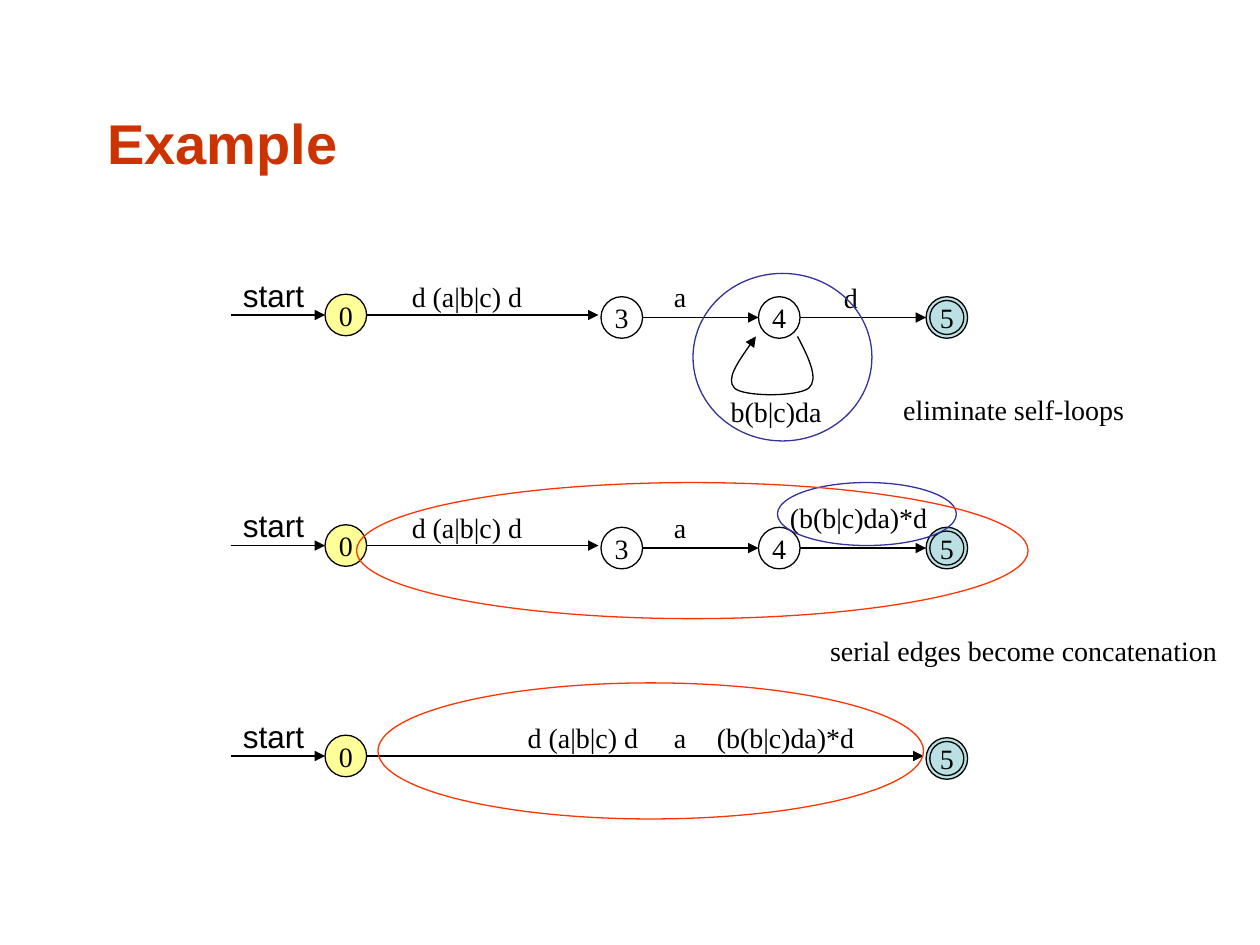
from lxml.etree import SubElement
from pptx import Presentation
from pptx.dml.color import RGBColor
from pptx.enum.shapes import MSO_CONNECTOR, MSO_SHAPE
from pptx.enum.text import MSO_ANCHOR, MSO_AUTO_SIZE, PP_ALIGN
from pptx.oxml.ns import qn
from pptx.util import Inches, Pt

BLACK = RGBColor(0x00, 0x00, 0x00)
TITLE_RED = RGBColor(0xCC, 0x33, 0x00)
START_YELLOW = RGBColor(0xFF, 0xFF, 0x99)
FINAL_TEAL = RGBColor(0xBB, 0xE0, 0xE3)
LOOP_BLUE = RGBColor(0x33, 0x33, 0x99)
SERIAL_RED = RGBColor(0xFF, 0x33, 0x00)

SERIF, SANS = "Times New Roman", "Arial"
NODE_SIZE, INNER_SIZE, LABEL_HEIGHT = 0.33, 0.27, 0.37
LABEL_SLACK = 0.03  # spare width that keeps each label on one line
STATE_DROP = 0.02  # states 3, 4 and 5 sit slightly below the start state
START_LEFT, STATE_3_LEFT, STATE_4_LEFT, FINAL_LEFT = 2.58, 4.77, 6.02, 7.35
LOOP_ROW, SERIAL_ROW, RESULT_ROW = 2.5, 4.33, 6.0


def format_text(paragraph, size, font_name, color, bold=False):
    for run in paragraph.runs:
        run.font.size = Pt(size)
        run.font.name = font_name
        run.font.color.rgb = color
        run.font.bold = bold


def add_title(slide, text):
    title = slide.shapes.title
    title.left, title.top = Inches(0.75), Inches(0.5)
    title.width, title.height = Inches(8.5), Inches(1.25)
    title.text_frame.text = text
    title.text_frame.vertical_anchor = MSO_ANCHOR.MIDDLE
    heading = title.text_frame.paragraphs[0]
    heading.alignment = PP_ALIGN.LEFT
    format_text(heading, 32, SANS, TITLE_RED, bold=True)


def add_label(shapes, text, left, top, width, height=LABEL_HEIGHT,
              size=16, font_name=SERIF):
    label = shapes.add_textbox(Inches(left), Inches(top),
                               Inches(width + LABEL_SLACK), Inches(height))
    frame = label.text_frame
    frame.text = text
    frame.word_wrap = False
    frame.auto_size = MSO_AUTO_SIZE.SHAPE_TO_FIT_TEXT
    format_text(frame.paragraphs[0], size, font_name, BLACK)


def add_ellipse(shapes, left, top, width, height, line_color=BLACK, fill_color=None):
    ellipse = shapes.add_shape(MSO_SHAPE.OVAL, Inches(left), Inches(top),
                               Inches(width), Inches(height))
    ellipse.shadow.inherit = False
    ellipse.line.color.rgb = line_color
    ellipse.line.width = Pt(0.75)
    if fill_color is None:
        ellipse.fill.background()
    else:
        ellipse.fill.solid()
        ellipse.fill.fore_color.rgb = fill_color
    return ellipse


def add_state(shapes, name, left, center_y, fill_color=None):
    state = add_ellipse(shapes, left, center_y - NODE_SIZE / 2,
                        NODE_SIZE, NODE_SIZE, fill_color=fill_color)
    frame = state.text_frame
    frame.text = name
    frame.word_wrap = False
    frame.vertical_anchor = MSO_ANCHOR.MIDDLE
    frame.paragraphs[0].alignment = PP_ALIGN.CENTER
    format_text(frame.paragraphs[0], 16, SERIF, BLACK)


def add_final_state(shapes, row):
    """Draw state 5 with the inner ring of an accepting state."""
    center_y = row + STATE_DROP
    add_state(shapes, "5", FINAL_LEFT, center_y, FINAL_TEAL)
    inset = (NODE_SIZE - INNER_SIZE) / 2
    add_ellipse(shapes, FINAL_LEFT + inset, center_y - INNER_SIZE / 2,
                INNER_SIZE, INNER_SIZE)


def style_arrow(arrow):
    arrow.line.color.rgb = BLACK
    arrow.line.width = Pt(0.75)
    SubElement(arrow.line._get_or_add_ln(), qn("a:tailEnd"), type="triangle")


def add_arrow(shapes, from_x, to_x, y):
    arrow = shapes.add_connector(MSO_CONNECTOR.STRAIGHT, Inches(from_x), Inches(y),
                                 Inches(to_x), Inches(y))
    style_arrow(arrow)
    SubElement(arrow._element.spPr, qn("a:effectLst"))


def add_self_loop(shapes, start, curve_points):
    """Draw a chain of cubic curves; each takes three of the curve points."""
    builder = shapes.build_freeform(Inches(start[0]), Inches(start[1]))
    builder.add_line_segments([(Inches(x), Inches(y)) for x, y in curve_points],
                              close=False)
    loop = builder.convert_to_shape()
    loop.shadow.inherit = False
    loop.fill.background()
    style_arrow(loop)
    path = next(loop._element.iter(qn("a:path")))
    segments = path.findall(qn("a:lnTo"))
    for first in range(0, len(segments), 3):
        curve = SubElement(path, qn("a:cubicBezTo"))
        for segment in segments[first:first + 3]:
            curve.append(segment[0])
            path.remove(segment)


def add_start(shapes, row):
    add_state(shapes, "0", START_LEFT, row, START_YELLOW)
    entry = shapes.add_group_shape()
    add_arrow(entry.shapes, 1.83, START_LEFT, row)
    add_label(entry.shapes, "start", 1.83, row - 0.36, 0.68, 0.4, 18, SANS)


def add_chain(shapes, row):
    """Draw the automaton 0 - 3 - 4 - 5 with its first two edge labels."""
    state_row = row + STATE_DROP
    add_start(shapes, row)
    add_state(shapes, "3", STATE_3_LEFT, state_row)
    add_state(shapes, "4", STATE_4_LEFT, state_row)
    add_final_state(shapes, row)
    add_arrow(shapes, START_LEFT + NODE_SIZE, 4.75, row)
    add_arrow(shapes, STATE_3_LEFT + NODE_SIZE, STATE_4_LEFT, state_row)
    add_arrow(shapes, STATE_4_LEFT + NODE_SIZE, FINAL_LEFT, state_row)
    add_label(shapes, "d (a|b|c) d", 3.17, row - 0.33, 1.07)
    add_label(shapes, "a", 5.25, row - 0.33, 0.3)


def add_loop_stage(shapes):
    add_chain(shapes, LOOP_ROW)
    add_label(shapes, "d", 6.6, 2.18, 0.31)
    add_self_loop(shapes, (6.33, 2.67), [
        (6.42, 2.84), (6.5, 3.01), (6.42, 3.08),
        (6.33, 3.15), (5.9, 3.15), (5.83, 3.08),
        (5.76, 3.01), (5.88, 2.84), (6, 2.67)])
    add_label(shapes, "b(b|c)da", 5.7, 3.08, 0.92)
    add_ellipse(shapes, 5.5, 2.17, 1.42, 1.33, LOOP_BLUE)
    add_label(shapes, "eliminate self-loops", 7.07, 3.07, 1.95)


def add_serial_stage(shapes):
    add_chain(shapes, SERIAL_ROW)
    add_label(shapes, "(b(b|c)da)*d", 6.17, 3.92, 1.29)
    add_ellipse(shapes, 6.17, 3.83, 1.42, 0.5, LOOP_BLUE)
    add_ellipse(shapes, 2.83, 3.83, 5.33, 1.08, SERIAL_RED)
    add_label(shapes, "serial edges become concatenation", 6.49, 4.98, 3.27)


def add_result_stage(shapes):
    add_start(shapes, RESULT_ROW)
    add_final_state(shapes, RESULT_ROW)
    add_arrow(shapes, START_LEFT + NODE_SIZE, 7.33, RESULT_ROW)
    for text, left, width in (("d (a|b|c) d", 4.09, 1.07), ("a", 5.25, 0.3),
                              ("(b(b|c)da)*d", 5.59, 1.29)):
        add_label(shapes, text, left, RESULT_ROW - 0.33, width)
    add_ellipse(shapes, 3, 5.42, 4.33, 1.08, SERIAL_RED)


def main():
    presentation = Presentation()
    presentation.slide_width, presentation.slide_height = Inches(10), Inches(7.5)
    slide = presentation.slides.add_slide(presentation.slide_layouts[5])
    add_title(slide, "Example")
    add_loop_stage(slide.shapes)
    add_serial_stage(slide.shapes)
    add_result_stage(slide.shapes)
    presentation.save("out.pptx")


if __name__ == "__main__":
    main()
